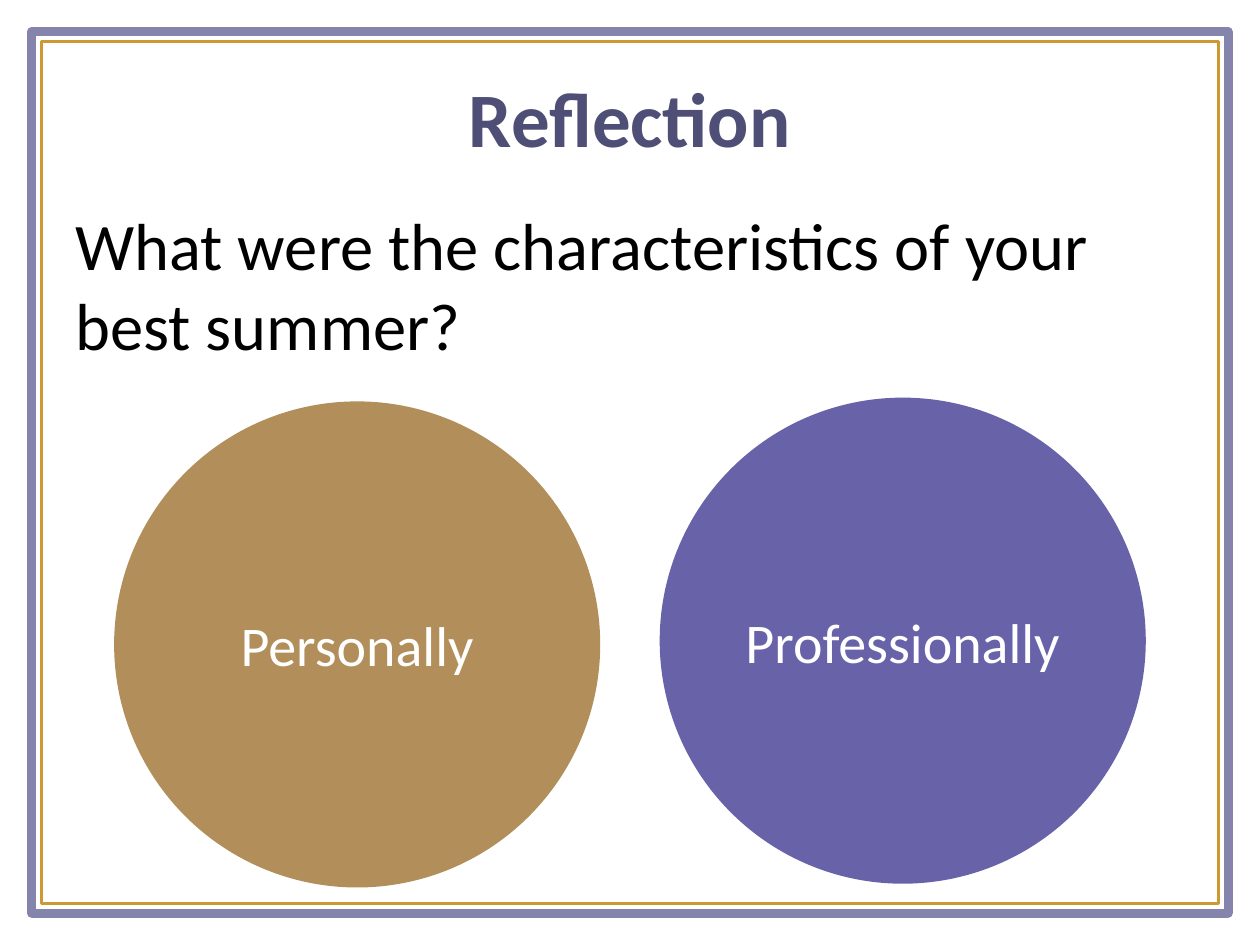
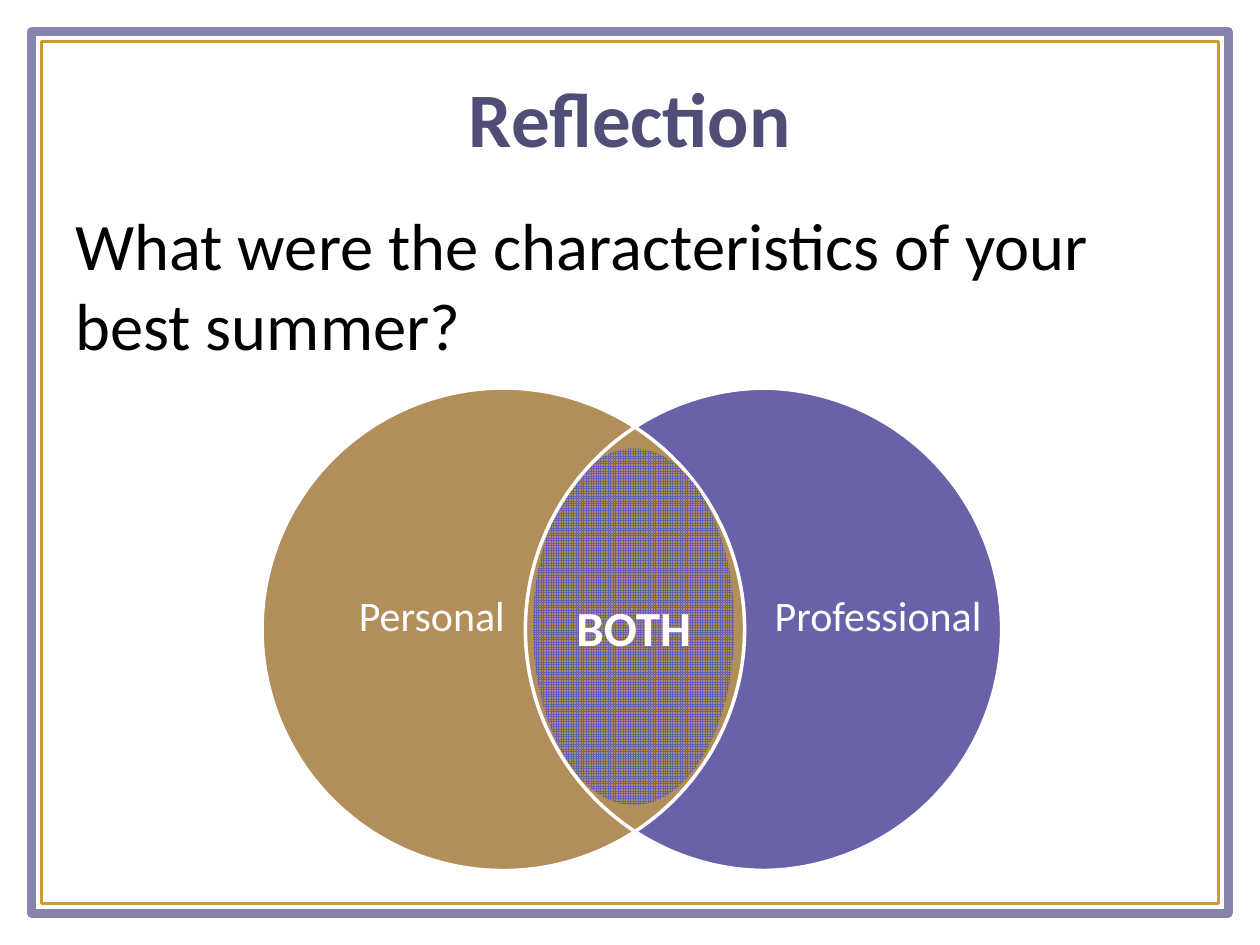
from dataclasses import dataclass

from lxml.etree import SubElement
from pptx import Presentation
from pptx.dml.color import RGBColor
from pptx.enum.dml import MSO_PATTERN
from pptx.enum.shapes import MSO_SHAPE
from pptx.enum.text import MSO_ANCHOR, PP_ALIGN
from pptx.oxml.ns import qn
from pptx.util import Inches, Pt

PURPLE, TAN, WHITE = "6863A9", "B28E5A", "FFFFFF"
SLATE, GOLD, TITLE_COLOR, BLACK = "666699", "CC9933", "4E4E76", "000000"
DIAMETER = 3.83
QUESTION = "What were the characteristics of your best summer?"


@dataclass
class TextStyle:
    size: int
    color: str = WHITE
    bold: bool = False
    align: PP_ALIGN = PP_ALIGN.CENTER


@dataclass
class Oval:
    left: float
    top: float
    width: float = DIAMETER
    height: float = DIAMETER
    fill: str | None = None
    line: str | None = None
    pattern_back: str | None = None
    label: str = ""
    style: TextStyle | None = None


@dataclass
class Label:
    text: str
    left: float
    top: float
    width: float
    height: float
    style: TextStyle
    wrap: bool = False


TITLE_STYLE = TextStyle(44, TITLE_COLOR, True)
QUESTION_STYLE = TextStyle(38, BLACK, align=PP_ALIGN.LEFT)
CIRCLE_STYLE = TextStyle(32)
BOTH_STYLE = TextStyle(28, bold=True)
SIDE_STYLE = TextStyle(24, align=PP_ALIGN.LEFT)

CONTRAST = [
    Oval(5.25, 3.17, fill=PURPLE, line=PURPLE, label="Professionally", style=CIRCLE_STYLE),
    Oval(0.92, 3.2, fill=TAN, line=TAN, label="Personally", style=CIRCLE_STYLE),
]
VENN = [
    Oval(4.12, 3.08, fill=PURPLE, line=WHITE),
    Oval(2.08, 3.08, fill=TAN, line=WHITE),
    Oval(4.23, 3.56, 1.6, 2.83, PURPLE, pattern_back=TAN, label="BOTH", style=BOTH_STYLE),
    Oval(4.17, 3.08, line=WHITE),
]
VENN_LABELS = [
    Label("Professional", 6.05, 4.63, 1.86, 0.5, SIDE_STYLE),
    Label("Personal", 2.75, 4.63, 1.37, 0.5, SIDE_STYLE),
]


def rgb(value: str) -> RGBColor:
    return RGBColor.from_string(value)


def write(frame, text: str, style: TextStyle) -> None:
    para = frame.paragraphs[0]
    para.alignment = style.align
    span = para.add_run()
    span.text = text
    formats = {"name": "Calibri", "size": Pt(style.size), "bold": style.bold}
    for name, value in formats.items():
        setattr(span.font, name, value)
    span.font.color.rgb = rgb(style.color)


def set_alpha(shape, percent: int, parent: str) -> None:
    for color in shape.element.spPr.findall(f"{parent}{qn('a:solidFill')}/{qn('a:srgbClr')}"):
        SubElement(color, qn("a:alpha"), val=str(percent * 1000))


def add_shape(page, kind: MSO_SHAPE, left: float, top: float, width: float, height: float,
              fill: str | None, line: str | None, weight: float = 2):
    shape = page.shapes.add_shape(kind, Inches(left), Inches(top), Inches(width), Inches(height))
    shape.shadow.inherit = False
    if fill:
        shape.fill.solid()
        shape.fill.fore_color.rgb = rgb(fill)
    else:
        shape.fill.background()
    if line:
        shape.line.color.rgb = rgb(line)
        shape.line.width = Pt(weight)
    else:
        shape.line.fill.background()
    return shape


def move_frame_to_layout(page) -> None:
    outer = add_shape(page, MSO_SHAPE.RECTANGLE, 0.25, 0.25, 9.5, 7, None, SLATE, 5)
    set_alpha(outer, 80, f"{qn('a:ln')}/")
    inner = add_shape(page, MSO_SHAPE.RECTANGLE, 0.33, 0.33, 9.34, 6.84, WHITE, GOLD)
    set_alpha(inner, 80, "")
    for index, border in enumerate((outer, inner), start=2):
        page.slide_layout.shapes.element.insert(index, border.element)


def add_oval(page, oval: Oval) -> None:
    shape = add_shape(page, MSO_SHAPE.OVAL, oval.left, oval.top, oval.width, oval.height,
                      oval.fill, oval.line)
    if oval.pattern_back:
        shape.fill.patterned()
        shape.fill.pattern = MSO_PATTERN.SMALL_GRID
        shape.fill.fore_color.rgb = rgb(oval.fill)
        shape.fill.back_color.rgb = rgb(oval.pattern_back)
    if oval.label:
        shape.text_frame.vertical_anchor = MSO_ANCHOR.MIDDLE
        write(shape.text_frame, oval.label, oval.style)


def add_label(page, label: Label) -> None:
    box = page.shapes.add_textbox(Inches(label.left), Inches(label.top),
                                  Inches(label.width), Inches(label.height))
    box.text_frame.word_wrap = label.wrap
    write(box.text_frame, label.text, label.style)


def add_reflection(deck, ovals: list[Oval], labels: list[Label]):
    page = deck.slides.add_slide(deck.slide_layouts[5])
    title = page.shapes.title
    place = {"left": 0.5, "top": 0.3, "width": 9, "height": 1.25}
    for name, value in place.items():
        setattr(title, name, Inches(value))
    title.text_frame.vertical_anchor = MSO_ANCHOR.MIDDLE
    write(title.text_frame, "Reflection", TITLE_STYLE)
    add_label(page, Label(QUESTION, 0.5, 1.57, 9, 1.38, QUESTION_STYLE, wrap=True))
    for oval in ovals:
        add_oval(page, oval)
    for label in labels:
        add_label(page, label)
    return page


def main() -> None:
    deck = Presentation()
    deck.slide_width, deck.slide_height = Inches(10), Inches(7.5)
    first = add_reflection(deck, CONTRAST, [])
    move_frame_to_layout(first)
    add_reflection(deck, VENN, VENN_LABELS)
    deck.save("out.pptx")


if __name__ == "__main__":
    main()
